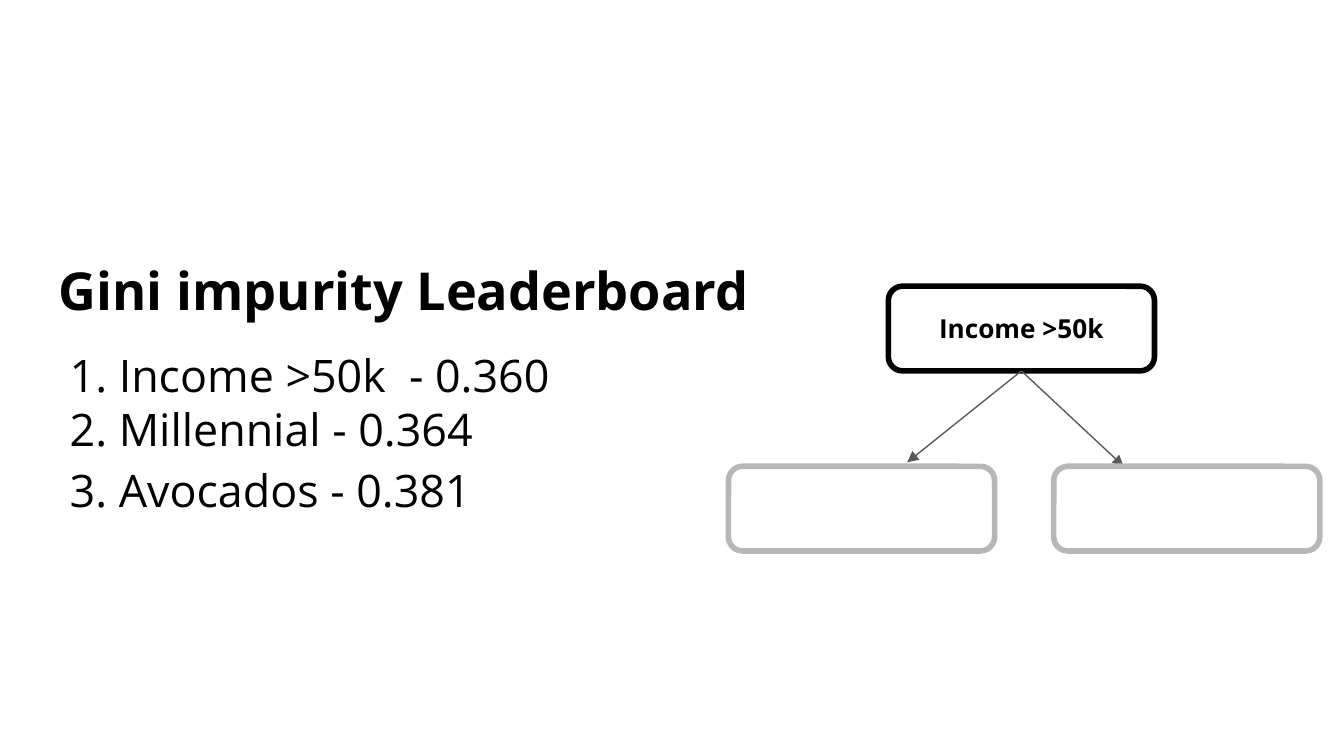
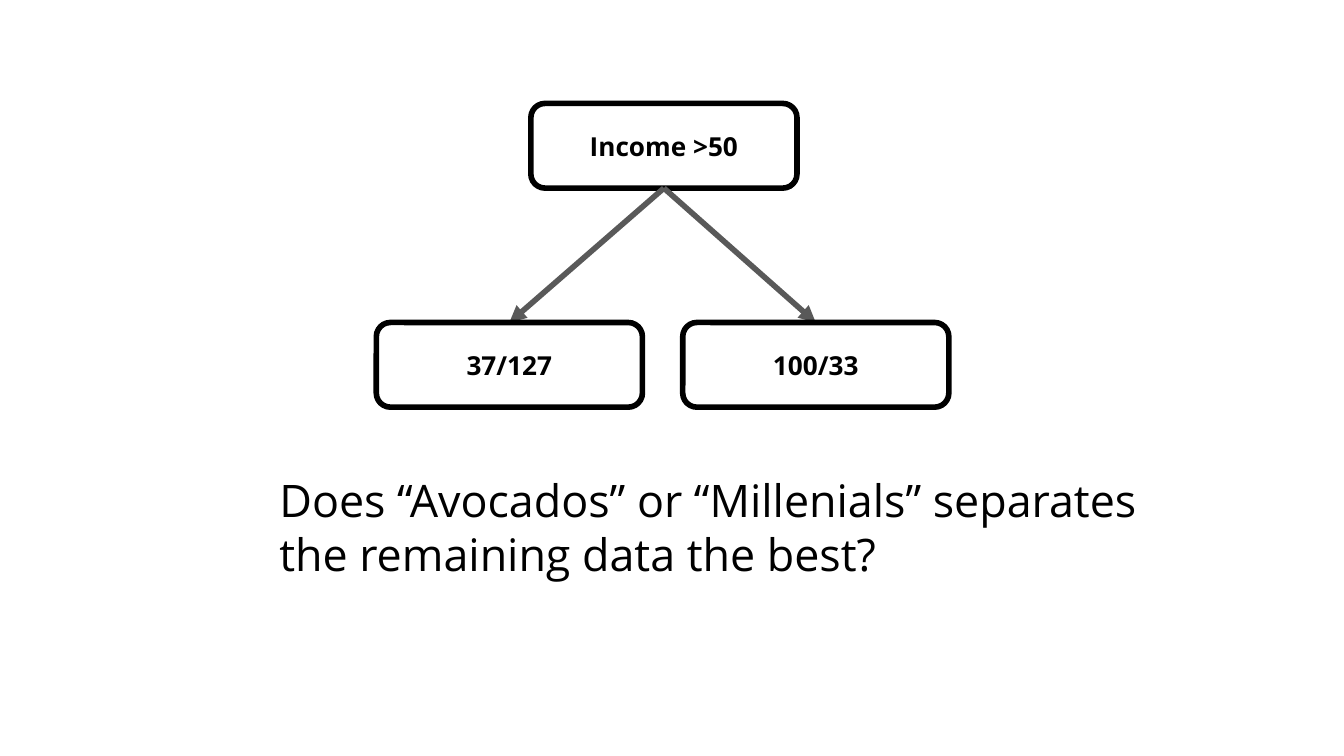
"""Build two slides on choosing the root of a decision tree."""
import dataclasses
import pptx
import pptx.util
import pptx.dml.color
import pptx.enum.shapes
import pptx.enum.text
import pptx.oxml
import pptx.oxml.ns

Inches, Pt = pptx.util.Inches, pptx.util.Pt
SHAPE = pptx.enum.shapes.MSO_SHAPE
ALIGN = pptx.enum.text.PP_ALIGN
ANCHOR = pptx.enum.text.MSO_ANCHOR


@dataclasses.dataclass(frozen=True)
class Theme:
    font: str = "Open Sans"
    ink: str = "000000"
    pale: str = "B7B7B7"
    arrow: str = "595959"
    title: int = 28
    body: int = 24
    label: int = 14
    edge: float = 3
    thin: float = 0.75
    pad: float = 0.1


THEME = Theme()
WIDE = 10
NODE = (1.98, 0.63)

SLIDES = [
    {
        "texts": [
            {"lines": ["Gini impurity Leaderboard"], "at": (0.34, 1.82, 9.32, 0.63),
             "size": THEME.title, "bold": True},
            {"lines": ["1. Income >50k  - 0.360", "2. Millennial - 0.364",
                       "3. Avocados - 0.381"],
             "at": (0.42, 2.49, 9.32, 0.63), "tail": " "},
        ],
        "root": ("Income >50k", 6.61, 2.13),
        "leaves": [("", 5.42, 3.47), ("", 7.84, 3.47)],
        "tips": [(6.75, 3.44), (8.36, 3.47)],
        "color": THEME.pale,
        "width": THEME.thin,
    },
    {
        "texts": [
            {"lines": ["Does “Avocados” or “Millenials” separates "
                       "the remaining data the best?"],
             "at": (1.98, 3.42, 6.78, 1.39)},
        ],
        "root": ("Income >50", 3.95, 0.77),
        "leaves": [("37/127", 2.8, 2.4), ("100/33", 5.08, 2.4)],
        "tips": None,
        "color": THEME.ink,
        "width": THEME.edge,
    },
]


def rgb(code):
    return pptx.dml.color.RGBColor.from_string(code)


def write(shape, lines, size=THEME.body, bold=False, align=ALIGN.LEFT,
          anchor=ANCHOR.TOP, tail=""):
    frame = shape.text_frame
    frame.word_wrap = True
    frame.vertical_anchor = anchor
    for side in ("left", "top", "right", "bottom"):
        setattr(frame, f"margin_{side}", Inches(THEME.pad))
    para = frame.paragraphs[0]
    para.alignment = align
    parts = [(line, size, bold) for line in lines]
    if tail:
        parts.append((tail, THEME.title, True))
    for i, (text, height, heavy) in enumerate(parts):
        if 0 < i < len(lines):
            para.add_line_break()
        run = para.add_run()
        run.text = text
        run.font.name = THEME.font
        run.font.size = Pt(height)
        run.font.bold = heavy
        run.font.color.rgb = rgb(THEME.ink)


def node(slide, label, left, top, color=THEME.ink):
    box = slide.shapes.add_shape(SHAPE.ROUNDED_RECTANGLE,
                                 *map(Inches, (left, top, *NODE)))
    box.shadow.inherit = False
    box.fill.background()
    box.line.color.rgb = rgb(color)
    box.line.width = Pt(THEME.edge)
    if label:
        write(box, [label], size=THEME.label, bold=True,
              align=ALIGN.CENTER, anchor=ANCHOR.MIDDLE)
    return box


def arrow(slide, root, tip, width):
    line = slide.shapes.add_connector(
        pptx.enum.shapes.MSO_CONNECTOR.STRAIGHT, 0, 0, *map(Inches, tip))
    line.begin_connect(root, 2)
    line.line.color.rgb = rgb(THEME.arrow)
    line.line.width = Pt(width)
    space = pptx.oxml.ns.nsdecls("a")
    head = pptx.oxml.parse_xml(f'<a:tailEnd {space} type="triangle"/>')
    line.line._get_or_add_ln().append(head)
    line._element.spPr.append(pptx.oxml.parse_xml(f"<a:effectLst {space}/>"))
    return line


def tree(slide, data):
    root = node(slide, *data["root"])
    tips = data["tips"] or [(left + NODE[0] / 2, top)
                            for _, left, top in data["leaves"]]
    lines = [arrow(slide, root, tip, data["width"]) for tip in tips]
    for line, leaf in zip(lines, data["leaves"]):
        box = node(slide, *leaf, color=data["color"])
        if not data["tips"]:
            line.end_connect(box, 0)


def main():
    deck = pptx.Presentation()
    deck.slide_width, deck.slide_height = Inches(WIDE), Inches(WIDE * 9 / 16)
    for data in SLIDES:
        slide = deck.slides.add_slide(deck.slide_layouts[6])
        for text in data["texts"]:
            style = dict(text)
            box = slide.shapes.add_textbox(*map(Inches, style.pop("at")))
            write(box, **style)
        tree(slide, data)
    deck.save("out.pptx")


if __name__ == "__main__":
    main()
